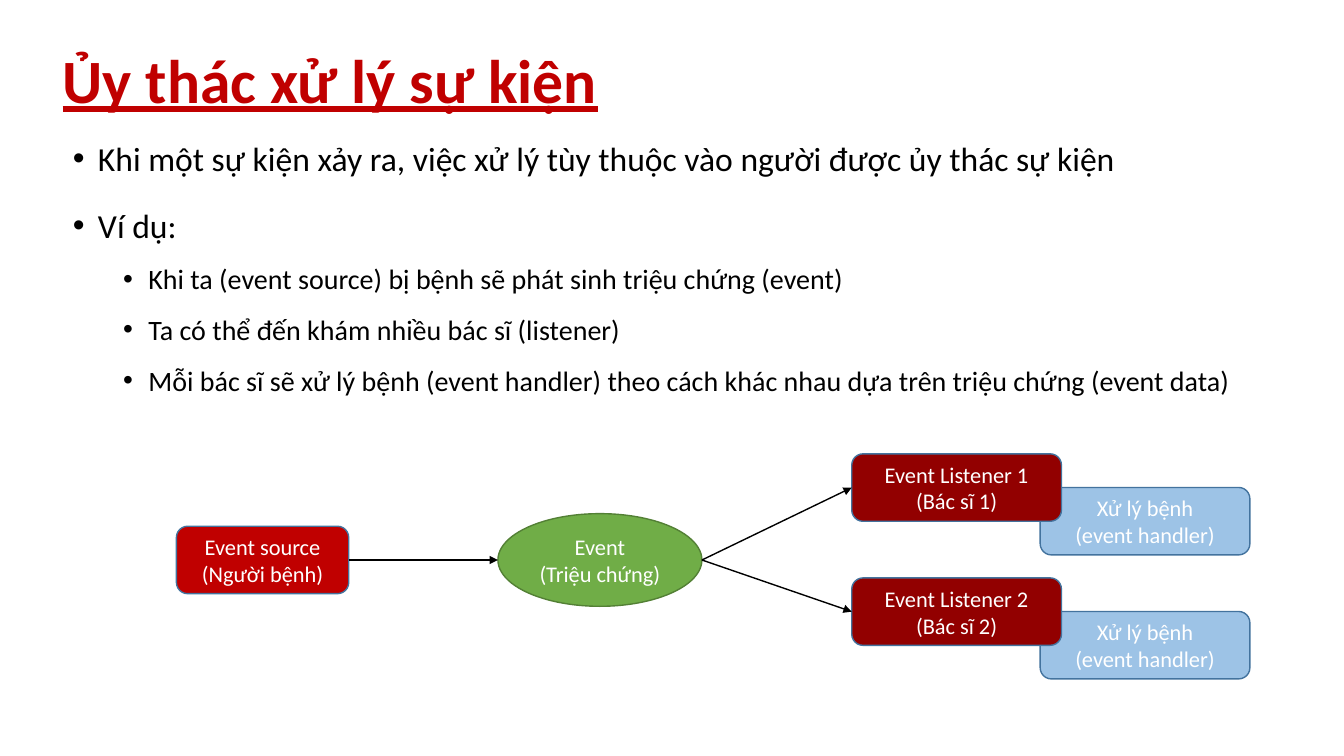
from dataclasses import dataclass
from typing import Any, Optional

from pptx import Presentation
from pptx.dml.color import RGBColor
from pptx.enum.shapes import MSO_CONNECTOR as Connector, MSO_SHAPE as Preset
from pptx.enum.text import MSO_ANCHOR as Anchor, MSO_AUTO_SIZE as AutoSize, PP_ALIGN as Align
from pptx.oxml.ns import qn
from pptx.util import Pt
from lxml.etree import SubElement

COLORS = {
    "title": "C00000",
    "text": "000000",
    "label": "FFFFFF",
    "source": "C00000",
    "event": "70AD47",
    "listener": "920000",
    "handler": "9DC3E6",
    "box_edge": "43739E",
    "event_edge": "538035",
}
FONT = "Calibri"
TITLE_FONT = {"name": FONT, "size": Pt(44), "bold": True, "underline": True}
LABEL_FONT = {"name": FONT, "size": Pt(16)}
LABEL_FRAME = {"vertical_anchor": Anchor.MIDDLE, "word_wrap": True}
TITLE_FRAME = {
    "vertical_anchor": Anchor.MIDDLE, "word_wrap": True, "auto_size": AutoSize.NONE,
    "margin_left": 0, "margin_top": 0, "margin_right": 0, "margin_bottom": 0,
}
BODY_FRAME = {"vertical_anchor": Anchor.TOP, "word_wrap": True, "auto_size": AutoSize.NONE}

AXIS = 400
BOX_HEIGHT = 48.2
EVENT_HEIGHT = 66.2
LISTENER_TOP = 324.2
LISTENER_STEP = 88.6
HANDLER_DROP = 24
EVENT_LEFT, EVENT_WIDTH = 355.7, 145.7


@dataclass(frozen=True)
class Level:
    size: float
    indent: float
    space_before: float


@dataclass(frozen=True)
class Point:
    text: str
    level: int


@dataclass(frozen=True)
class Node:
    label: str
    role: str
    left: float
    top: float
    width: float
    height: float = BOX_HEIGHT
    preset: Any = Preset.ROUNDED_RECTANGLE
    edge: str = "box_edge"


@dataclass(frozen=True)
class Arrow:
    begin: tuple[float, float]
    end: tuple[float, float]
    source: Optional[Any] = None
    target: Optional[Any] = None


LEVELS = [Level(24, 18, 10), Level(20, 54, 5)]
POINTS = [
    Point("Khi một sự kiện xảy ra, việc xử lý tùy thuộc vào người được ủy thác sự kiện", 0),
    Point("Ví dụ:", 0),
    Point("Khi ta (event source) bị bệnh sẽ phát sinh triệu chứng (event)", 1),
    Point("Ta có thể đến khám nhiều bác sĩ (listener)", 1),
    Point("Mỗi bác sĩ sẽ xử lý bệnh (event handler) theo cách khác nhau "
          "dựa trên triệu chứng (event data)", 1),
]
LISTENER_TOPS = [LISTENER_TOP + LISTENER_STEP * order for order in range(2)]
HANDLERS = [
    Node("Xử lý bệnh\n(event handler)", "handler", 743, top + HANDLER_DROP, 149.8)
    for top in LISTENER_TOPS
]
LISTENERS = [
    Node(f"Event Listener {number}\n(Bác sĩ {number})", "listener", 608.4, top, 149.8)
    for number, top in enumerate(LISTENER_TOPS, 1)
]
SOURCE = Node("Event source\v(Người bệnh)", "source", 126, AXIS - BOX_HEIGHT / 2, 123.1)
EVENT = Node("Event\n(Triệu chứng)", "event", EVENT_LEFT, AXIS - EVENT_HEIGHT / 2,
             EVENT_WIDTH, EVENT_HEIGHT, Preset.OVAL, "event_edge")


def color(name: str) -> RGBColor:
    return RGBColor.from_string(COLORS[name])


def apply_format(target: Any, values: dict[str, Any]) -> None:
    for attribute, value in values.items():
        setattr(target, attribute, value)


def place(placeholder: Any, left: float, top: float, width: float, height: float) -> None:
    apply_format(placeholder, {"left": Pt(left), "top": Pt(top),
                               "width": Pt(width), "height": Pt(height)})


def write_title(title: Any, text: str) -> None:
    place(title, 44.8, 31.8, 813.6, 56.9)
    apply_format(title.text_frame, TITLE_FRAME)
    heading = title.text_frame.paragraphs[0]
    heading.text = text
    apply_format(heading, {"alignment": Align.LEFT, "line_spacing": 0.85})
    apply_format(heading.font, TITLE_FONT)
    heading.font.color.rgb = color("title")


def write_points(body: Any, points: list[Point]) -> None:
    place(body, 44.8, 86.4, 848.2, 226)
    frame = body.text_frame
    apply_format(frame, BODY_FRAME)
    frame.text = "\n".join(point.text for point in points)
    for paragraph, point in zip(frame.paragraphs, points):
        level = LEVELS[point.level]
        apply_format(paragraph, {"level": point.level, "line_spacing": 1.3,
                                 "space_before": Pt(level.space_before)})
        apply_format(paragraph.font, {"name": FONT, "size": Pt(level.size)})
        paragraph.font.color.rgb = color("text")
        properties = paragraph._p.get_or_add_pPr()
        properties.set("marL", str(Pt(level.indent)))
        properties.set("indent", str(Pt(-18)))
        bullet_font = SubElement(properties, qn("a:buFont"))
        bullet_font.set("typeface", "Arial")
        SubElement(properties, qn("a:buChar")).set("char", "•")
        default_run = properties.find(qn("a:defRPr"))
        if default_run is not None:
            properties.append(default_run)


def draw_node(shapes: Any, node: Node) -> Any:
    drawn = shapes.add_shape(node.preset, Pt(node.left), Pt(node.top),
                             Pt(node.width), Pt(node.height))
    drawn.shadow.inherit = False
    drawn.fill.solid()
    drawn.fill.fore_color.rgb = color(node.role)
    drawn.line.color.rgb = color(node.edge)
    drawn.line.width = Pt(1)
    apply_format(drawn.text_frame, LABEL_FRAME)
    drawn.text_frame.text = node.label
    for paragraph in drawn.text_frame.paragraphs:
        paragraph.alignment = Align.CENTER
        apply_format(paragraph.font, LABEL_FONT)
        paragraph.font.color.rgb = color("label")
    return drawn


def draw_arrow(shapes: Any, arrow: Arrow) -> None:
    line = shapes.add_connector(Connector.STRAIGHT, *map(Pt, arrow.begin + arrow.end))
    if arrow.source is not None:
        line.begin_connect(arrow.source, 3)
    if arrow.target is not None:
        line.end_connect(arrow.target, 1)
    line.line.color.rgb = color("text")
    line.line.width = Pt(1)
    SubElement(line.line._get_or_add_ln(), qn("a:tailEnd")).set("type", "triangle")
    SubElement(line._element.spPr, qn("a:effectLst"))


def main() -> None:
    deck = Presentation()
    deck.slide_width, deck.slide_height = Pt(960), Pt(540)
    slide = deck.slides.add_slide(deck.slide_layouts[1])
    shapes = slide.shapes
    write_title(shapes.title, "Ủy thác xử lý sự kiện")
    write_points(slide.placeholders[1], POINTS)
    for handler in HANDLERS:
        draw_node(shapes, handler)
    source = draw_node(shapes, SOURCE)
    draw_node(shapes, EVENT)
    listeners = [draw_node(shapes, listener) for listener in LISTENERS]
    event_right = (EVENT_LEFT + EVENT_WIDTH, AXIS)
    arrows = [Arrow((SOURCE.left + SOURCE.width, AXIS), (EVENT_LEFT, AXIS), source=source)]
    arrows += [
        Arrow(event_right, (node.left, node.top + node.height / 2), target=listener)
        for node, listener in zip(LISTENERS, listeners)
    ]
    for arrow in arrows:
        draw_arrow(shapes, arrow)
    deck.save("out.pptx")


if __name__ == "__main__":
    main()
